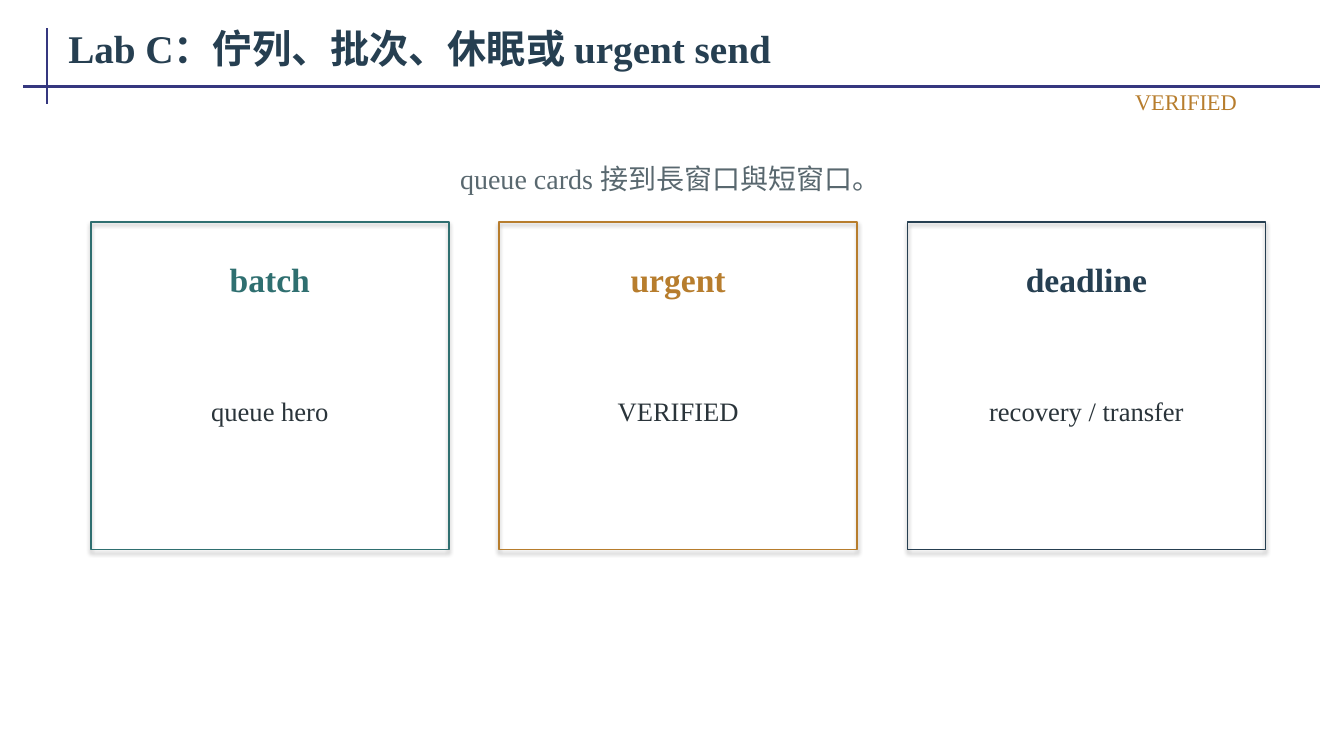
from dataclasses import dataclass

from lxml import etree
from pptx import Presentation
from pptx.dml.color import RGBColor
from pptx.enum import shapes, text
from pptx.oxml.ns import qn
from pptx.util import Cm, Pt

FONT = "Times New Roman"
COLORS = {
    "rule": "35377F",
    "navy": "263F51",
    "teal": "2F6F70",
    "amber": "B77D2D",
    "grey": "59686F",
    "ink": "2A343A",
}
CARD_LEFT, CARD_TOP = 2.29, 5.59
CARD_W, CARD_H, CARD_PITCH = 9.02, 8.26, 10.29


@dataclass
class Card:
    heading: str
    body: str
    color: str


@dataclass
class Rule:
    x1: float
    y1: float
    x2: float
    y2: float


CARDS = [
    Card("batch", "queue hero", "teal"),
    Card("urgent", "VERIFIED", "amber"),
    Card("deadline", "recovery / transfer", "navy"),
]
RULES = [Rule(1.19, 0.71, 1.19, 2.62), Rule(0.58, 2.18, 33.27, 2.18)]


def rgb(name: str) -> RGBColor:
    return RGBColor.from_string(COLORS[name])


def write(sp, content: str, size: float, color: str, align, bold: bool = False) -> None:
    tf = sp.text_frame
    tf.word_wrap = True
    tf.vertical_anchor = text.MSO_ANCHOR.MIDDLE
    tf.margin_left = tf.margin_right = Cm(0.2)
    tf.margin_top = tf.margin_bottom = Cm(0.1)
    p = tf.paragraphs[0]
    p.text = content
    p.alignment = align
    p.font.name, p.font.size, p.font.bold = FONT, Pt(size), bold
    p.font.color.rgb = rgb(color)


def add_text(s, x: float, y: float, w: float, h: float, content: str, size: float,
             color: str, align=text.PP_ALIGN.CENTER, bold: bool = False) -> None:
    sp = s.shapes.add_textbox(Cm(x), Cm(y), Cm(w), Cm(h))
    write(sp, content, size, color, align, bold)
    sp.text_frame.auto_size = text.MSO_AUTO_SIZE.SHAPE_TO_FIT_TEXT


def add_rule(s, rule: Rule) -> None:
    line = s.shapes.add_connector(shapes.MSO_CONNECTOR.STRAIGHT, Cm(rule.x1),
                                  Cm(rule.y1), Cm(rule.x2), Cm(rule.y2))
    line.line.color.rgb = rgb("rule")
    line.line.width = Pt(1.5)
    etree.SubElement(line._element.spPr, qn("a:effectLst"))


def add_card(s, x: float, card: Card) -> None:
    # The frame keeps the theme's soft shadow
    sp = s.shapes.add_shape(shapes.MSO_SHAPE.RECTANGLE, Cm(x), Cm(CARD_TOP),
                            Cm(CARD_W), Cm(CARD_H))
    sp.fill.background()
    sp.line.color.rgb = rgb(card.color)
    sp.line.width = Pt(1.2)
    add_text(s, x + 0.38, CARD_TOP + 0.63, CARD_W - 0.76, 1.65,
             card.heading, 24, card.color, bold=True)
    add_text(s, x + 0.51, CARD_TOP + 2.79, CARD_W - 1.02, 3.94,
             card.body, 19, "ink")


def main() -> None:
    prs = Presentation()
    prs.slide_width, prs.slide_height = Cm(33.87), Cm(19.05)
    s = prs.slides.add_slide(prs.slide_layouts[5])

    # Header: rules and title
    for rule in RULES:
        add_rule(s, rule)
    title = s.shapes.title
    title.left, title.top, title.width, title.height = Cm(1.52), Cm(0.41), Cm(31.78), Cm(1.57)
    write(title, "Lab C：佇列、批次、休眠或 urgent send", 28, "navy",
          text.PP_ALIGN.LEFT, bold=True)
    title.text_frame.auto_size = text.MSO_AUTO_SIZE.NONE

    # Lead sentence
    add_text(s, 2.29, 3.76, 29.21, 1.47, "queue cards 接到長窗口與短窗口。", 20, "grey")

    # Queue cards
    for i, card in enumerate(CARDS):
        add_card(s, CARD_LEFT + i * CARD_PITCH, card)

    # Status label
    add_text(s, 23.24, 2.18, 8.13, 0.76, "VERIFIED", 16, "amber", text.PP_ALIGN.RIGHT)

    prs.save("out.pptx")


if __name__ == "__main__":
    main()
